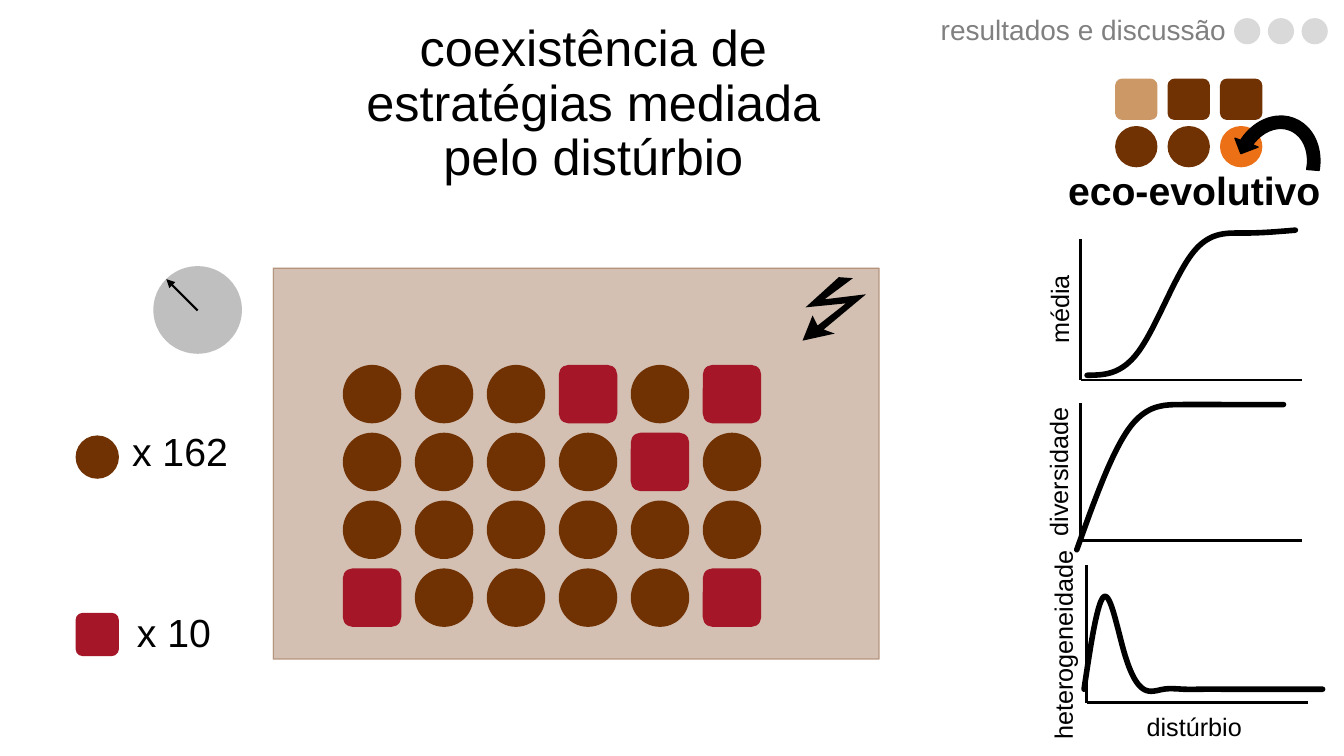
from dataclasses import dataclass

from lxml import etree
from pptx import Presentation
from pptx.chart.data import CategoryChartData
from pptx.dml.color import RGBColor
from pptx.enum.chart import XL_CHART_TYPE, XL_MARKER_STYLE
from pptx.enum.shapes import MSO_CONNECTOR, MSO_SHAPE
from pptx.enum.text import MSO_ANCHOR, MSO_AUTO_SIZE, PP_ALIGN
from pptx.oxml.ns import qn
from pptx.util import Inches, Pt

CIRCLE, SQUARE = MSO_SHAPE.OVAL, MSO_SHAPE.ROUNDED_RECTANGLE
RECTANGLE, CURVED_ARROW = MSO_SHAPE.RECTANGLE, MSO_SHAPE.CIRCULAR_ARROW
STRAIGHT = MSO_CONNECTOR.STRAIGHT
LINE_CHART, NO_MARKER = XL_CHART_TYPE.LINE, XL_MARKER_STYLE.NONE
TOP, MIDDLE = MSO_ANCHOR.TOP, MSO_ANCHOR.MIDDLE
CENTER, RIGHT = PP_ALIGN.CENTER, PP_ALIGN.RIGHT
NO_AUTOSIZE = MSO_AUTO_SIZE.NONE

BLACK = RGBColor(0x00, 0x00, 0x00)
GRAY = RGBColor(0x80, 0x80, 0x80)
DIAL_GRAY = RGBColor(0xBF, 0xBF, 0xBF)
DOT_GRAY = RGBColor(0xD9, 0xD9, 0xD9)
BROWN = RGBColor(0x70, 0x31, 0x03)
TAN = RGBColor(0xCC, 0x99, 0x66)
ORANGE = RGBColor(0xEC, 0x70, 0x16)
RED = RGBColor(0xA5, 0x16, 0x28)


@dataclass
class Curve:
    label: str
    label_box: tuple
    chart_box: tuple
    values: tuple
    scale: tuple
    origin: tuple
    axis_top: tuple


@dataclass
class Count:
    kind: int
    color: RGBColor
    token_top: float
    text: str
    text_left: float
    text_top: float


CURVES = [
    Curve("média", (9.52, 2.81, 1.97, 0.52), (10.47, 1.96, 2.69, 1.8),
          (0, 17, 83, 98, 100), (0, 120), (10.72, 3.77), (10.72, 2.37)),
    Curve("diversidade", (9.51, 4.42, 1.97, 0.52), (10.37, 3.69, 2.67, 1.8),
          (0, 83, 100, 100, 100), (0, 120), (10.72, 5.36), (10.72, 4)),
    Curve("heterogeneidade", (9.44, 6.14, 2.2, 0.52), (10.6, 5.29, 2.67, 1.8),
          (-100, -83, -93) + (-100,) * 10, (-104, -72), (10.78, 6.97), (10.78, 5.61)),
]
COUNTS = [
    Count(CIRCLE, BROWN, 4.32, "x 162", 0.4, 3.78),
    Count(SQUARE, RED, 6.08, "x 10", 0.34, 5.57),
]
COMMUNITY = ["ooosos", "ooooso", "oooooo", "soooos"]
BOLT = [(8.59, 2.92), (8.18, 2.97), (8.46, 2.76), (8.32, 2.75), (7.99, 3.05),
        (8.39, 3.01), (8.11, 3.23), (8.06, 3.13), (7.96, 3.38), (8.28, 3.31), (8.17, 3.27)]


def inches(lengths: tuple) -> list:
    return [Inches(length) for length in lengths]


def format_text(frame, text: str, size: float, color: RGBColor = BLACK, bold: bool = False,
                align: int = CENTER, anchor: int = TOP, spacing: float = 0.9,
                margins: tuple = (0.1, 0.05)) -> None:
    frame.word_wrap = True
    frame.auto_size = NO_AUTOSIZE
    frame.vertical_anchor = anchor
    frame.margin_left = frame.margin_right = Inches(margins[0])
    frame.margin_top = frame.margin_bottom = Inches(margins[1])
    paragraph = frame.paragraphs[0]
    paragraph.alignment = align
    paragraph.line_spacing = spacing
    run = paragraph.add_run()
    run.text = text
    run.font.name = "Arial"
    run.font.size = Pt(size)
    run.font.bold = bold
    run.font.color.rgb = color


def add_text(shapes, box: tuple, text: str, rotation: float = 0, **text_format):
    label = shapes.add_textbox(*inches(box))
    label.rotation = rotation
    format_text(label.text_frame, text, **text_format)
    return label


def add_axis_label(shapes, box: tuple, text: str, rotation: float = 0) -> None:
    add_text(shapes, box, text, rotation, size=18, spacing=1.0, margins=(0.15, 0.11))


def paint(shape, color: RGBColor):
    shape.shadow.inherit = False
    shape.fill.solid()
    shape.fill.fore_color.rgb = color
    shape.line.fill.background()
    return shape


def add_token(shapes, kind: int, box: tuple, color: RGBColor):
    return paint(shapes.add_shape(kind, *inches(box)), color)


def outline(shape, color: RGBColor, width: float) -> None:
    shape.line.color.rgb = color
    shape.line.width = Pt(width)


def add_line(shapes, start: tuple, end: tuple, width: float = 2, arrow: bool = False) -> None:
    line = shapes.add_connector(STRAIGHT, *inches(start + end))
    outline(line, BLACK, width)
    properties = line._element.spPr
    if arrow:
        etree.SubElement(properties.find(qn("a:ln")), qn("a:tailEnd"), type="triangle")
    etree.SubElement(properties, qn("a:effectLst"))


def add_curve(shapes, curve: Curve) -> None:
    data = CategoryChartData()
    data.categories = ["1", "2", "3", "4", "5"]
    data.add_series("Series 1", curve.values)
    chart = shapes.add_chart(LINE_CHART, *inches(curve.chart_box), data).chart
    chart.has_legend = chart.has_title = False
    chart.font.name, chart.font.size = "Calibri", Pt(10)
    chart.font.color.rgb = BLACK
    for axis in (chart.category_axis, chart.value_axis):
        axis.has_major_gridlines = False
        axis.visible = False
    chart.value_axis.minimum_scale, chart.value_axis.maximum_scale = curve.scale
    plot = chart.plots[0]
    plot.vary_by_categories = False
    series = plot.series[0]
    series.smooth = True
    series.marker.style = NO_MARKER
    series.format.line.color.rgb = BLACK
    series.format.line.width = Pt(4)
    series._element.find(".//" + qn("a:ln")).set("cap", "rnd")
    x, y = curve.origin
    add_line(shapes, curve.origin, (x + 2.19, y))
    add_line(shapes, curve.axis_top, curve.origin)
    add_axis_label(shapes, curve.label_box, curve.label, 270)


def add_habitat(shapes) -> None:
    habitat = add_token(shapes, RECTANGLE, (2.71, 2.66, 6.01, 3.88), BROWN)
    outline(habitat, BROWN, 1)
    for color in habitat._element.spPr.iter(qn("a:srgbClr")):
        etree.SubElement(color, qn("a:alpha"), val="30000")
    for row, strategies in enumerate(COMMUNITY):
        for column, strategy in enumerate(strategies):
            kind, color = (SQUARE, RED) if strategy == "s" else (CIRCLE, BROWN)
            box = (3.4 + 0.714 * column, 3.62 + 0.673 * row, 0.58, 0.58)
            add_token(shapes, kind, box, color)
    bolt = shapes.build_freeform(*inches(BOLT[0]), scale=1.0)
    bolt.add_line_segments([inches(point) for point in BOLT[1:]], close=True)
    paint(bolt.convert_to_shape(), BLACK)


def add_eco_evolutionary(shapes) -> None:
    add_text(shapes, (10.46, 1.19, 2.77, 1.45), "eco-evolutivo", size=28, bold=True, anchor=MIDDLE)
    tokens = shapes.add_group_shape().shapes
    rows = [(SQUARE, 0.78, (TAN, BROWN, BROWN)), (CIRCLE, 1.25, (BROWN, BROWN, ORANGE))]
    for kind, top, colors in rows:
        for column, color in enumerate(colors):
            add_token(tokens, kind, (11.06 + 0.52 * column, top, 0.42, 0.41), color)
    feedback = add_token(shapes, CURVED_ARROW, (12.16, 1.08, 0.98, 1.15), BLACK)
    outline(feedback, BLACK, 1)
    feedback.adjustments[3] = 117.73
    feedback.rotation = 200.9
    feedback._element.spPr.find(qn("a:xfrm")).set("flipV", "1")


def add_section(shapes) -> None:
    section = shapes.add_group_shape().shapes
    add_text(section, (7.78, 0.08, 4.48, 0.47), "resultados e discussão",
             size=20, color=GRAY, align=RIGHT, anchor=MIDDLE)
    for step in range(3):
        add_token(section, CIRCLE, (12.24 + 0.335 * step, 0.18, 0.26, 0.26), DOT_GRAY)


def main() -> None:
    presentation = Presentation()
    presentation.slide_width, presentation.slide_height = Inches(13.33), Inches(7.5)
    slide = presentation.slides.add_slide(presentation.slide_layouts[5])
    shapes = slide.shapes
    title = shapes.title
    title.left, title.top, title.width, title.height = inches((3.15, 0.18, 5.47, 1.79))
    format_text(title.text_frame, "coexistência de estratégias mediada pelo distúrbio", size=36)
    add_habitat(shapes)
    add_eco_evolutionary(shapes)
    for curve in CURVES:
        add_curve(shapes, curve)
    add_axis_label(shapes, (10.86, 6.95, 1.97, 0.52), "distúrbio")
    add_section(shapes)
    for count in COUNTS:
        add_token(shapes, count.kind, (0.75, count.token_top, 0.43, 0.43), count.color)
        add_text(shapes, (count.text_left, count.text_top, 2.77, 1.45), count.text,
                 size=28, anchor=MIDDLE)
    add_token(shapes, CIRCLE, (1.52, 2.64, 0.88, 0.87), DIAL_GRAY)
    add_line(shapes, (1.96, 3.08), (1.65, 2.77), width=1.5, arrow=True)
    presentation.save("out.pptx")


if __name__ == "__main__":
    main()
